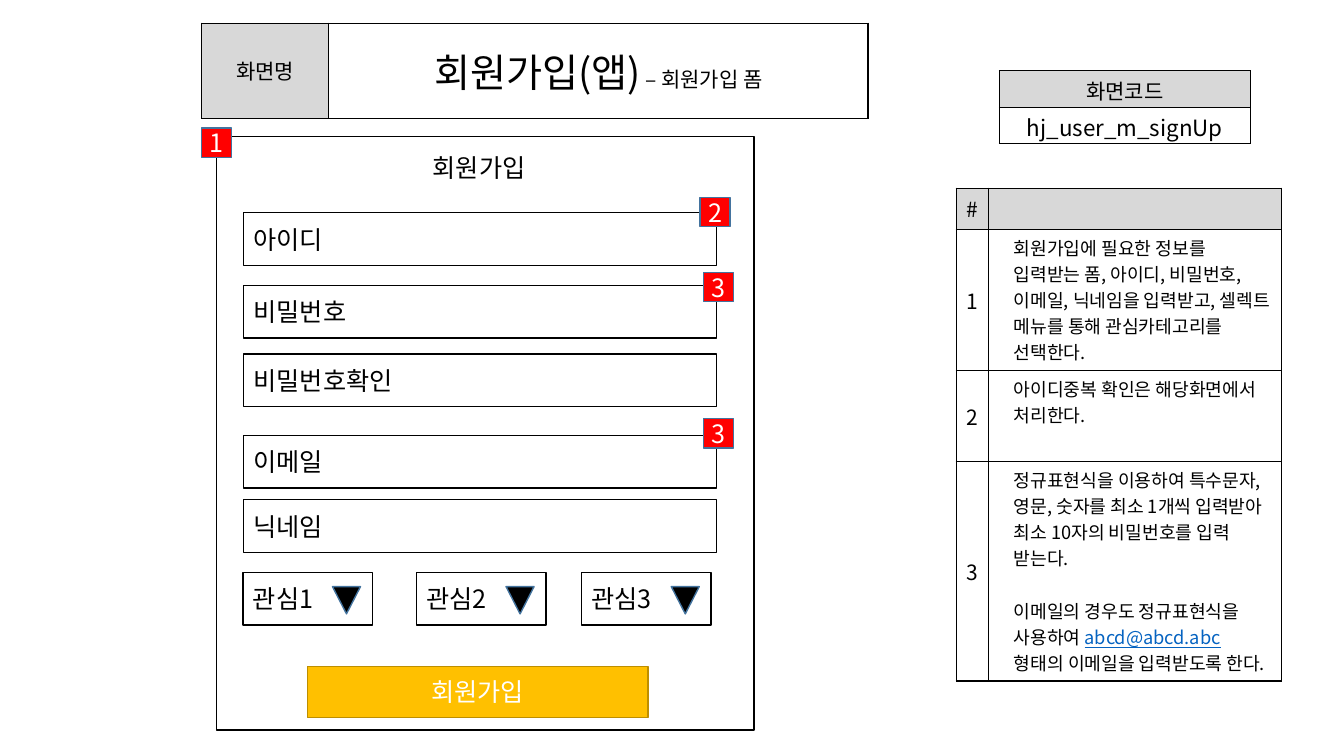
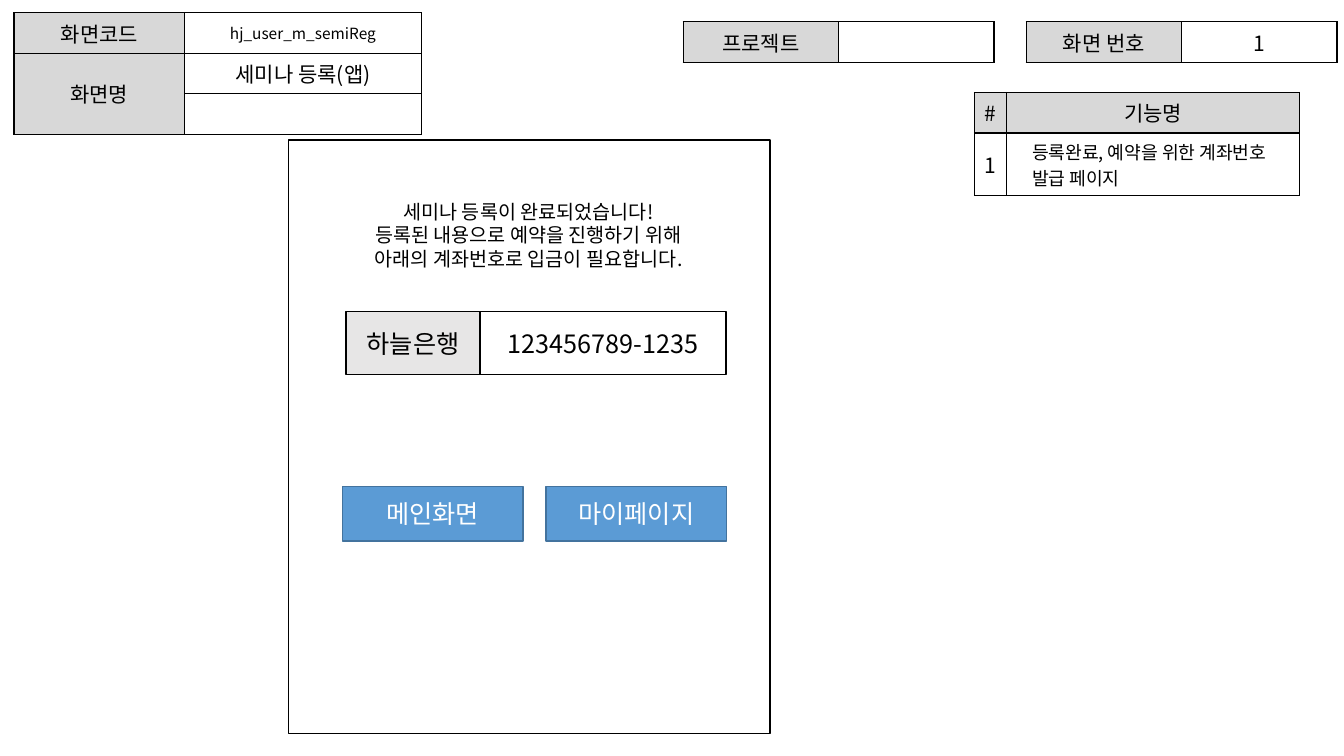
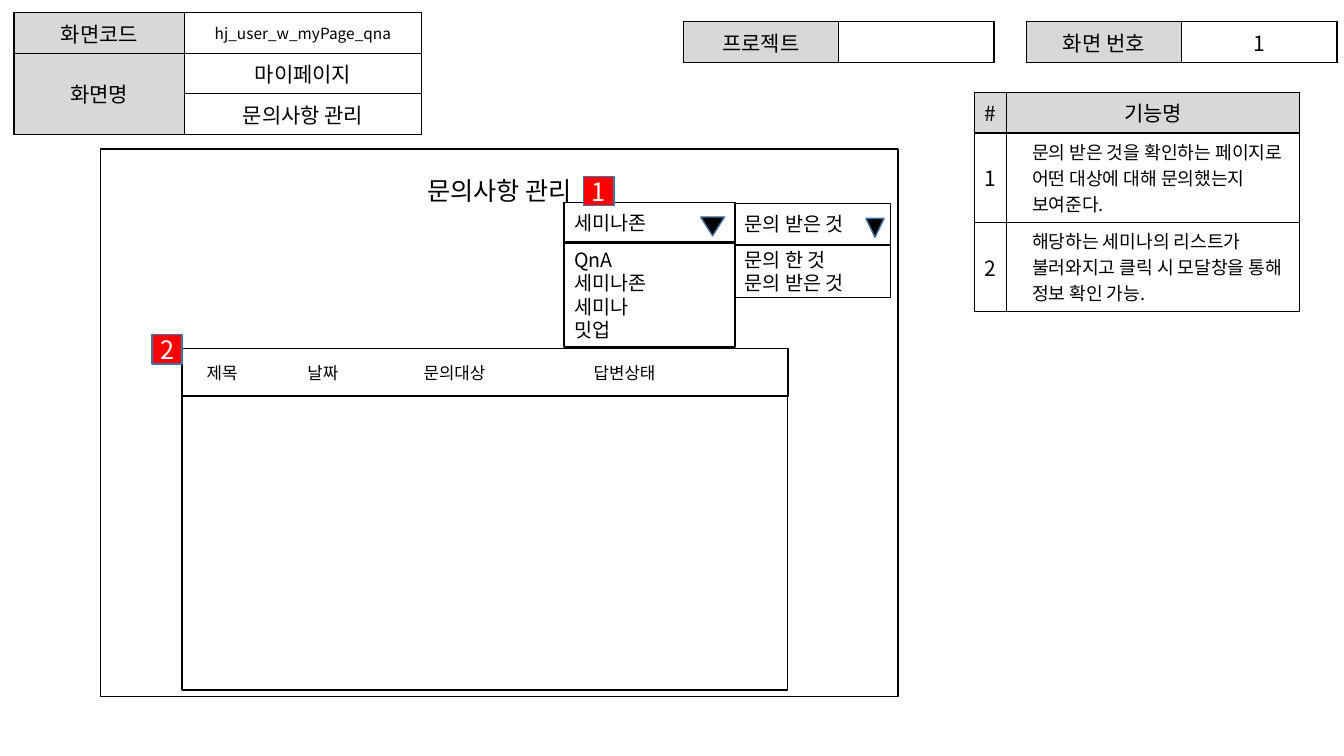
from lxml.etree import SubElement
from pptx import Presentation
from pptx.dml.color import RGBColor
from pptx.enum.shapes import MSO_SHAPE as SHAPE
from pptx.enum.text import MSO_ANCHOR as ANCHOR, PP_ALIGN as ALIGN
from pptx.oxml.ns import qn
from pptx.util import Pt

FONT = "Noto Sans CJK KR"
BLACK = RGBColor(0x00, 0x00, 0x00)
WHITE = RGBColor(0xFF, 0xFF, 0xFF)
LABEL_GRAY = RGBColor(0xD8, 0xD8, 0xD8)
BANK_GRAY = RGBColor(0xE7, 0xE6, 0xE6)
RED = RGBColor(0xFF, 0x00, 0x00)
BLUE = RGBColor(0x5B, 0x9B, 0xD5)
BLUE_EDGE = RGBColor(0x43, 0x73, 0x9E)
AMBER = RGBColor(0xFF, 0xC0, 0x00)
AMBER_EDGE = RGBColor(0xBD, 0x8E, 0x00)
LINK = RGBColor(0x05, 0x63, 0xC1)

LINE_FACTOR = 1.2
ROW = 29
LABEL = {"fill": LABEL_GRAY}
DESCRIPTION = {"size": 13, "align": ALIGN.LEFT, "anchor": ANCHOR.TOP,
               "indent": 11, "gap": 18.8}


def add_run(p, text, size, color=BLACK, underline=False):
    r = p.add_run()
    r.text = text
    r.font.color.rgb = color
    values = {"name": FONT, "size": Pt(size), "bold": False, "underline": underline}
    for name, value in values.items():
        setattr(r.font, name, value)
    SubElement(r._r.get_or_add_rPr(), qn("a:ea"), typeface=FONT)


def write(tf, content, size, color=BLACK, align=ALIGN.LEFT, indent=0, gap=0,
          leading=None, tabs=()):
    """Fill a text frame; content is a string or paragraphs of (text, format) runs."""
    if isinstance(content, str):
        content = [[(line, {})] for line in content.split("\n")]
    for i, runs in enumerate(content):
        p = tf.add_paragraph() if i else tf.paragraphs[0]
        pPr = p._p.get_or_add_pPr()
        if indent:
            pPr.set("marL", str(Pt(indent)))
            pPr.set("indent", "0")
        if tabs:
            stops = SubElement(pPr, qn("a:tabLst"))
            for pos in tabs:
                SubElement(stops, qn("a:tab"), pos=str(Pt(pos)), algn="l")
        p.alignment = align
        if leading:
            p.line_spacing = Pt(leading)
        if i and gap:
            p.space_before = Pt(gap)
        for text, fmt in runs:
            add_run(p, text, **{"size": size, "color": color, **fmt})


def add_preset(s, kind, x, y, w, h, fill=None, line=BLACK):
    sp = s.shapes.add_shape(kind, Pt(x), Pt(y), Pt(w), Pt(h))
    sp.shadow.inherit = False
    if fill is None:
        sp.fill.background()
    else:
        sp.fill.solid()
        sp.fill.fore_color.rgb = fill
    sp.line.color.rgb = line
    sp.line.width = Pt(1)
    return sp


def add_box(s, x, y, w, h, text="", size=18, fill=None, line=BLACK, inset=7.2, **fmt):
    sp = add_preset(s, SHAPE.RECTANGLE, x, y, w, h, fill, line)
    if text:
        tf = sp.text_frame
        values = {"word_wrap": True, "vertical_anchor": ANCHOR.MIDDLE,
                  "margin_left": Pt(inset), "margin_right": Pt(inset)}
        for name, value in values.items():
            setattr(tf, name, value)
        write(tf, text, size, leading=size * LINE_FACTOR, **fmt)


def add_button(s, x, y, w, h, text, fill=BLUE, line=BLUE_EDGE):
    add_box(s, x, y, w, h, text, fill=fill, line=line, color=WHITE, align=ALIGN.CENTER)


def add_badge(s, x, y, number):
    add_box(s, x, y, 21.6, 21, str(number), fill=RED, line=BLUE_EDGE, inset=0,
            color=WHITE, align=ALIGN.CENTER)


def add_arrow(s, x, y, w, h):
    """Downward triangle of a drop-down field."""
    add_preset(s, SHAPE.ISOSCELES_TRIANGLE, x, y, w, h, BLACK, BLUE_EDGE).rotation = 180


def add_text(s, x, y, w, h, text, size=18, align=ALIGN.LEFT):
    tf = s.shapes.add_textbox(Pt(x), Pt(y), Pt(w), Pt(h)).text_frame
    tf.word_wrap = True
    write(tf, text, size, align=align, leading=size * LINE_FACTOR)


def style_cell(cell, fill, anchor, margins):
    tcPr = cell._tc.get_or_add_tcPr()
    for side in ("lnL", "lnR", "lnT", "lnB"):
        ln = SubElement(tcPr, qn(f"a:{side}"), w=str(Pt(1)))
        SubElement(SubElement(ln, qn("a:solidFill")), qn("a:srgbClr"), val=str(BLACK))
    cell.fill.solid()
    cell.fill.fore_color.rgb = fill
    cell.vertical_anchor = anchor
    for side, value in zip(("left", "top", "right", "bottom"), margins):
        setattr(cell, f"margin_{side}", Pt(value))


def add_grid(s, x, y, cols, rows, cells, margins=(7.2, 3.6, 7.2, 3.6)):
    """Bordered table; each cell is (content, format)."""
    frame = s.shapes.add_table(len(rows), len(cols), Pt(x), Pt(y),
                               Pt(sum(cols)), Pt(sum(rows)))
    table = frame.table
    table.first_row = table.horz_banding = False
    for col, width in zip(table.columns, cols):
        col.width = Pt(width)
    for row, height in zip(table.rows, rows):
        row.height = Pt(height)
    for i, line in enumerate(cells):
        for j, (content, fmt) in enumerate(line):
            fmt = {"size": 15, "align": ALIGN.CENTER, "fill": WHITE,
                   "anchor": ANCHOR.MIDDLE, **fmt}
            cell = table.cell(i, j)
            style_cell(cell, fmt.pop("fill"), fmt.pop("anchor"), margins)
            if content:
                write(cell.text_frame, content, **fmt)
    return table


def add_feature_table(s, x, y, heading, features, heights):
    cells = [[("#", LABEL), (heading, LABEL)]]
    cells += [[(str(n), {}), (text, DESCRIPTION)] for n, text in enumerate(features, 1)]
    add_grid(s, x, y, (23, 209.5), (ROW, *heights), cells)


def add_screen_header(s, code, name, subname=""):
    table = add_grid(s, 10, 9, (122, 169), [ROW] * 3, [
        [("화면코드", LABEL), (code, {"size": 11})],
        [("화면명", LABEL), (name, {})],
        [("", LABEL), (subname, {})]])
    table.cell(1, 0).merge(table.cell(2, 0))
    for x, label, value in ((733, "화면 번호", "1"), (488, "프로젝트", "")):
        add_grid(s, x, 15.5, (111, 111), [ROW], [[(label, LABEL), (value, {})]])


def build_sign_up(s):
    features = [
        "회원가입에 필요한 정보를 입력받는 폼, 아이디, 비밀번호, 이메일, 닉네임을 입력받고, "
        "셀렉트 메뉴를 통해 관심카테고리를 선택한다.",
        "아이디중복 확인은 해당화면에서 처리한다.",
        [[("정규표현식을 이용하여 특수문자, 영문, 숫자를 최소 1개씩 입력받아 "
           "최소 10자의 비밀번호를 입력 받는다.", {})],
         [("이메일의 경우도 정규표현식을 사용하여 ", {}),
          ("abcd@abcd.abc", {"color": LINK, "underline": True}),
          (" 형태의 이메일을 입력받도록 한다.", {})]],
    ]
    add_feature_table(s, 683, 134.5, "", features, (101, 64.8, 157))
    title = [[("회원가입(앱)", {"size": 28}), (" – 회원가입 폼", {})]]
    add_grid(s, 144, 16.5, (90.7, 385.3), [68], [[("화면명", LABEL), (title, {})]])
    add_grid(s, 714, 50.5, [179], (26, 26),
             [[("화면코드", LABEL)], [("hj_user_m_signUp", {"size": 16})]],
             margins=(6, 2.5, 6, 0))

    add_text(s, 302, 105, 94, 29, "회원가입")
    add_box(s, 154.5, 97.5, 384, 424)
    fields = {"아이디": 152, "비밀번호": 204, "비밀번호확인": 253, "이메일": 311, "닉네임": 357}
    for label, y in fields.items():
        add_box(s, 174, y, 338, 37.5, label)
    for n, x in enumerate((173.5, 297.5, 415.5), 1):
        add_box(s, x, 409, 92.5, 37.5, f"관심{n}")
        add_arrow(s, x + 64, 419, 20, 19.5)
    add_button(s, 219.5, 476, 243.5, 36.5, "회원가입", AMBER, AMBER_EDGE)
    for x, y, n in ((144, 91.5, 1), (500, 141, 2), (502.5, 194.5, 3), (502.5, 299, 3)):
        add_badge(s, x, y, n)


def build_seminar(s):
    add_screen_header(s, "hj_user_m_semiReg", "세미나 등록(앱)")
    add_feature_table(s, 696, 66, "기능명",
                      ["등록완료, 예약을 위한 계좌번호 발급 페이지"], [44.8])
    add_box(s, 206, 100, 344, 424)
    add_text(s, 234, 139, 287, 58,
             "세미나 등록이 완료되었습니다!\n등록된 내용으로 예약을 진행하기 위해\n"
             "아래의 계좌번호로 입금이 필요합니다.", 14, ALIGN.CENTER)
    for x, label in ((390, "마이페이지"), (244.5, "메인화면")):
        add_button(s, x, 347.5, 129, 39, label)
    add_box(s, 247, 222.5, 96, 45, "하늘은행", fill=BANK_GRAY, align=ALIGN.CENTER)
    add_box(s, 343, 222.5, 175.5, 45, "123456789-1235", align=ALIGN.CENTER)


def build_questions(s):
    add_screen_header(s, "hj_user_w_myPage_qna", "마이페이지", "문의사항 관리")
    add_feature_table(s, 696, 66, "기능명", [
        "문의 받은 것을 확인하는 페이지로 어떤 대상에 대해 문의했는지 보여준다.",
        "해당하는 세미나의 리스트가 불러와지고 클릭 시 모달창을 통해 정보 확인 가능.",
    ], (63.8, 63.8))
    add_box(s, 72, 106.5, 569.5, 391)
    add_text(s, 263, 121.5, 188, 29, "문의사항 관리", align=ALIGN.CENTER)

    add_box(s, 403, 144.5, 122, 29, "세미나존", 14)
    add_arrow(s, 500.5, 155, 17, 13.5)
    add_box(s, 403, 173, 122, 75, "QnA\n세미나존\n세미나\n밋업", 14)
    add_box(s, 525, 145.5, 111, 29, "문의 받은 것", 14)
    add_arrow(s, 618.5, 156, 13, 13.5)
    add_box(s, 525, 175, 111, 37.5, "문의 한 것\n문의 받은 것", 14)

    add_box(s, 130, 249, 432.5, 244)
    add_box(s, 130.5, 249, 432.5, 34, "\t제목\t날짜\t문의대상\t답변상태", 12,
            tabs=(10, 82, 165, 286.5))
    add_badge(s, 417, 126, 1)
    add_badge(s, 108.5, 239, 2)


def main():
    prs = Presentation()
    prs.slide_width, prs.slide_height = Pt(960), Pt(540)
    for build in (build_sign_up, build_seminar, build_questions):
        build(prs.slides.add_slide(prs.slide_layouts[6]))
    prs.save("out.pptx")


if __name__ == "__main__":
    main()
